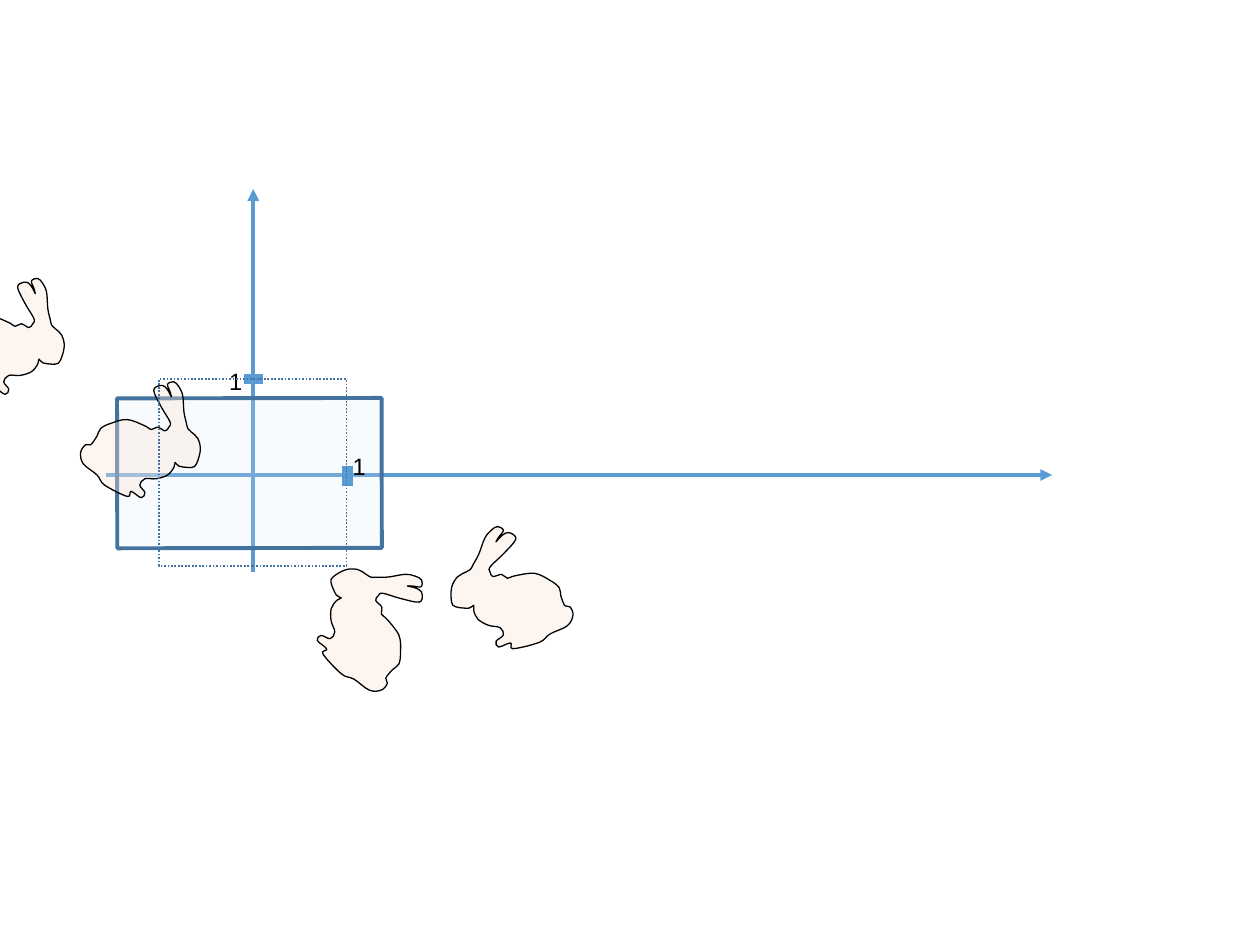
"""Build a slide with two axes, a unit square, a frame and four rabbits."""
from lxml import etree
from pptx import Presentation
from pptx import util as u
from pptx.dml import color
from pptx.enum import dml as looks, shapes, text
from pptx.oxml import ns

BLUE, DARK, PALE, PINK, BLACK = "5B9BD5", "43739E", "DEEBF7", "FBE5D6", "000000"

AXES = [((2.01, 4.54), (2.01, 1.5)), ((0.84, 3.77), (8.35, 3.77))]
TICKS = [((1.94, 3.01), (2.09, 3.01)), ((2.76, 3.86), (2.76, 3.7))]
LABELS = [("1", 1.72, 2.86), ("1", 2.7, 3.54)]
FRAME = (0.93, 3.16, 2.1, 1.19)
UNIT = (1.26, 3.01, 1.49, 1.48)

RABBIT = [
    (1.57, 3.48), (1.59, 3.57), (1.56, 3.68), (1.52, 3.71), (1.42, 3.70),
    (1.39, 3.67), (1.38, 3.71), (1.33, 3.77), (1.24, 3.80), (1.15, 3.80),
    (1.11, 3.85), (1.15, 3.91), (1.12, 3.95), (1.04, 3.90), (1.01, 3.94),
    (0.83, 3.85), (0.77, 3.77), (0.66, 3.68), (0.64, 3.59), (0.68, 3.53),
    (0.72, 3.53), (0.77, 3.46), (0.80, 3.40), (0.88, 3.36), (1.01, 3.33),
    (1.15, 3.38), (1.20, 3.41), (1.25, 3.39), (1.31, 3.42), (1.34, 3.39),
    (1.35, 3.35), (1.28, 3.23), (1.22, 3.10), (1.27, 3.06), (1.31, 3.07),
    (1.34, 3.11), (1.36, 3.15), (1.35, 3.11), (1.33, 3.05), (1.38, 3.03),
    (1.42, 3.07), (1.45, 3.14), (1.46, 3.27), (1.48, 3.36), (1.49, 3.40),
    (1.52, 3.43),
]
SAME = (1, 0, 0, 1)
PLACES = [
    ((0.49, 2.66), SAME),
    ((1.57, 3.48), SAME),
    ((2.84, 4.52), (-0.32, -0.99, -1, 0.24)),
    ((3.63, 4.58), (-1.02, -0.28, -0.21, 0.98)),
]


def paint(part, tint, alpha=100):
    part.solid()
    part.fore_color.rgb = color.RGBColor.from_string(tint)
    if alpha < 100:
        tone = part._xPr.find(ns.qn("a:solidFill"))[0]
        etree.SubElement(tone, ns.qn("a:alpha")).set("val", str(alpha * 1000))


def stroke(line, tint, width):
    paint(line.fill, tint)
    line.width = u.Pt(width)


def draw_line(slide, ends, width, arrow=False):
    points = [u.Inches(n) for end in ends for n in end]
    line = slide.shapes.add_connector(shapes.MSO_CONNECTOR.STRAIGHT, *points)
    stroke(line.line, BLUE, width)
    if arrow:
        tail = etree.SubElement(line.line._get_or_add_ln(), ns.qn("a:tailEnd"))
        tail.set("type", "triangle")
    etree.SubElement(line._element.spPr, ns.qn("a:effectLst"))


def draw_box(slide, place, width):
    box = slide.shapes.add_shape(
        shapes.MSO_SHAPE.RECTANGLE, *[u.Inches(n) for n in place])
    box.shadow.inherit = False
    box.fill.background()
    stroke(box.line, DARK, width)
    return box


def smooth(shape):
    """Turn the straight sides of a closed outline into cubic curves."""
    sides = list(shape._element.iter(ns.qn("a:lnTo")))
    knots = [(int(side[0].get("x")), int(side[0].get("y"))) for side in sides]
    count = len(knots)
    for i, side in enumerate(sides):
        prior, start, end, after = [knots[(i + k) % count] for k in (-2, -1, 0, 1)]
        pulls = [
            [s + (e - p) / 6 for p, s, e in zip(prior, start, end)],
            [e - (a - s) / 6 for s, e, a in zip(start, end, after)]]
        side.tag = ns.qn("a:cubicBezTo")
        for spot, (x, y) in enumerate(pulls):
            pull = etree.Element(ns.qn("a:pt"), x=str(round(x)), y=str(round(y)))
            side.insert(spot, pull)


def draw_rabbit(slide, nose, turn):
    a, b, c, d = turn
    left, top = RABBIT[0]
    points = [
        (u.Inches(nose[0] + a * (x - left) + b * (y - top)),
         u.Inches(nose[1] + c * (x - left) + d * (y - top)))
        for x, y in RABBIT]
    pen = slide.shapes.build_freeform(*points[0])
    pen.add_line_segments(points[1:] + points[:1], close=True)
    rabbit = pen.convert_to_shape()
    smooth(rabbit)
    rabbit.shadow.inherit = False
    paint(rabbit.fill, PINK, 35)
    stroke(rabbit.line, BLACK, 0.75)


def draw_label(slide, words, left, top):
    box = slide.shapes.add_textbox(
        *[u.Inches(n) for n in (left, top, 0.31, 0.33)])
    frame = box.text_frame
    frame.word_wrap = False
    frame.auto_size = text.MSO_AUTO_SIZE.SHAPE_TO_FIT_TEXT
    frame.text = words
    font = frame.paragraphs[0].font
    font.name, font.size = "Arial", u.Pt(13.5)
    font.color.rgb = color.RGBColor.from_string(BLACK)


def main():
    deck = Presentation()
    deck.slide_width, deck.slide_height = u.Inches(10), u.Inches(7.5)
    slide = deck.slides.add_slide(deck.slide_layouts[6])
    for ends in AXES:
        draw_line(slide, ends, 2.25, arrow=True)
    frame = draw_box(slide, FRAME, 2.25)
    paint(frame.fill, PALE, 19)
    frame.rotation = -0.1
    for nose, turn in PLACES:
        draw_rabbit(slide, nose, turn)
    for ends in TICKS:
        draw_line(slide, ends, 6)
    for label in LABELS:
        draw_label(slide, *label)
    unit = draw_box(slide, UNIT, 1)
    unit.line.dash_style = looks.MSO_LINE.ROUND_DOT
    deck.save("out.pptx")


if __name__ == "__main__":
    main()
